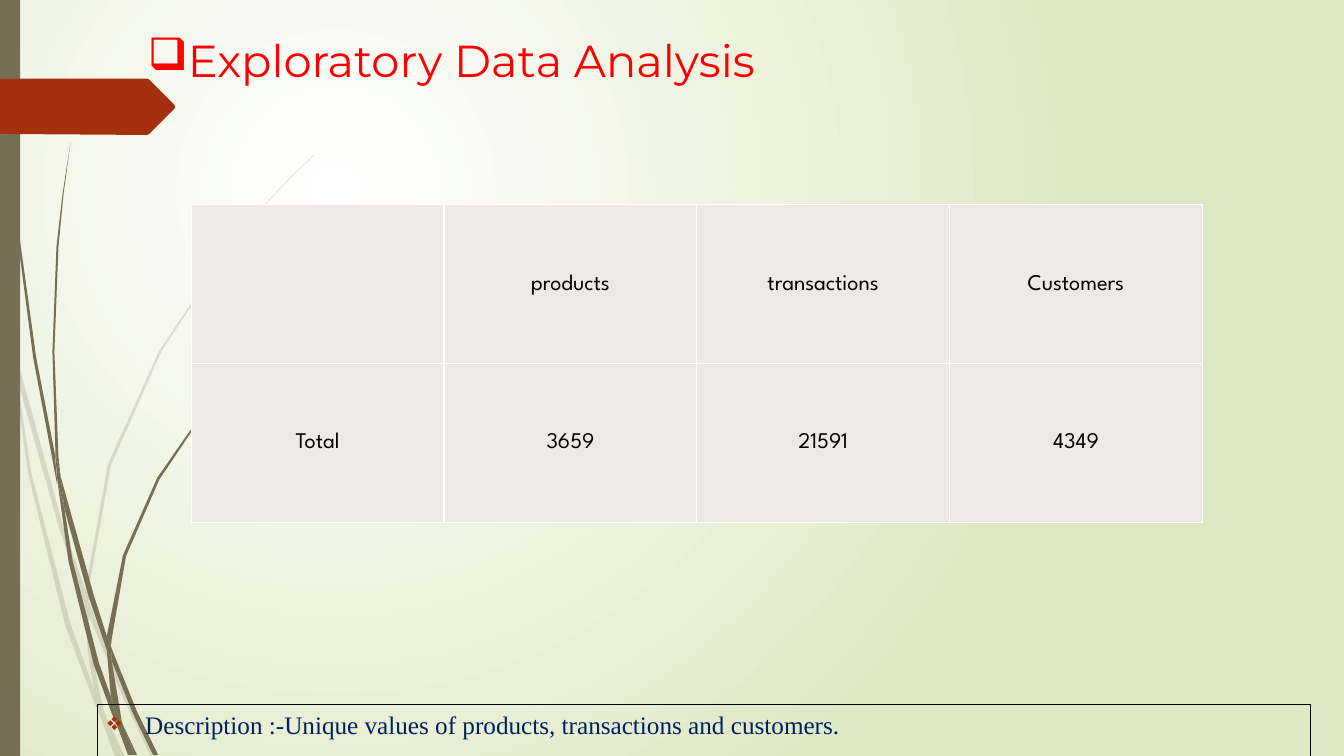
import lxml.etree
import pptx
import pptx.dml.color
import pptx.enum.shapes
import pptx.enum.text
import pptx.oxml.ns
import pptx.util

Cm, Pt = pptx.util.Cm, pptx.util.Pt
qn = pptx.oxml.ns.qn

OLIVE, RUST, WHITE = "766F54", "A53010", "FFFFFF"
GRID = Cm(0.0254)  # one unit of the outlines below

PALE_STALKS = [
    [(11, 350), (9, 322), (0, 282), (0, 299), (10, 344)],
    [(58, 522), (84, 599), (85, 586), (62, 520), (14, 345), (17, 376)],
    [(92, 607), (88, 596), (88, 610), (123, 694), (150, 751), (155, 751), (127, 692)],
    [(119, 751), (124, 751), (105, 711)],
    [(93, 683), (70, 619), (31, 469), (17, 376), (11, 350), (28, 470), (65, 621),
     (92, 693), (101, 714), (99, 707)],
    [(84, 599), (87, 646), (93, 683), (96, 692), (105, 711), (103, 706), (91, 646),
     (88, 610), (88, 608)],
    [(88, 584), (110, 462), (160, 349), (229, 245), (268, 198), (290, 175), (312, 154),
     (312, 153), (289, 175), (268, 197), (228, 244), (158, 348), (107, 461), (85, 584),
     (85, 586), (88, 596)],
    [(101, 714), (114, 751), (119, 751)],
    [(88, 608), (88, 610), (88, 596), (85, 586), (84, 599)],
    [(96, 692), (93, 683), (99, 707), (101, 714), (119, 751), (105, 711)],
]
DARK_STALKS = [
    [(7, 110), (17, 233), (33, 355), (56, 477), (57, 481), (55, 457), (55, 453),
     (36, 355), (19, 232), (8, 109), (5, 48), (4, 0), (3, 0), (4, 48)],
    [(88, 592), (106, 645), (106, 633), (106, 631), (93, 590), (60, 472), (64, 505)],
    [(113, 649), (110, 641), (111, 656), (132, 708), (152, 749), (157, 749), (136, 706)],
    [(110, 691), (98, 657), (72, 556), (64, 505), (57, 477), (68, 557), (93, 659),
     (111, 708), (117, 722), (116, 717)],
    [(60, 472), (58, 453), (54, 349), (58, 245), (63, 193), (70, 141), (62, 193),
     (56, 245), (52, 349), (55, 449)],
    [(133, 749), (136, 749), (122, 719)],
    [(57, 477), (64, 505), (60, 472), (55, 449), (55, 453)],
    [(111, 633), (125, 552), (158, 476), (205, 406), (231, 374), (245, 359), (261, 344),
     (260, 344), (245, 358), (231, 373), (204, 405), (156, 474), (122, 551), (106, 631),
     (110, 641)],
    [(117, 722), (127, 749), (131, 749)],
    [(106, 645), (110, 691), (116, 706), (122, 719), (121, 716), (111, 656), (109, 651)],
    [(106, 645), (109, 651), (111, 656), (110, 641), (106, 631), (106, 633)],
    [(116, 706), (110, 691), (116, 717), (117, 722), (130, 749), (133, 749), (122, 719)],
]
ARROW = [(0, 0), (146, 0), (148, 1), (173, 26), (174, 28), (173, 30), (148, 55),
         (146, 56), (0, 55)]

TOTALS = [["", "products", "transactions", "Customers"],
          ["Total", "3659", "21591", "4349"]]


def rgb(color):
    return pptx.dml.color.RGBColor.from_string(color)


def add_node(parent, tag, **attrs):
    return lxml.etree.SubElement(parent, qn(tag), attrs)


def style_run(p, font, size, color):
    for r in p.runs:
        r.font.name, r.font.size = font, Pt(size)
        r.font.color.rgb = rgb(color)


def paint(sp, color):
    """Fill a shape flat, with no outline and no shadow."""
    sp.shadow.inherit = False
    sp.fill.solid()
    sp.fill.fore_color.rgb = rgb(color)
    sp.line.fill.background()


def add_bullet(p, char, color):
    """Hang the paragraph behind a bullet."""
    pPr = p._p.get_or_add_pPr()
    pPr.set("marL", str(Cm(0.95)))
    pPr.set("indent", str(-Cm(0.95)))
    add_node(add_node(pPr, "a:buClr"), "a:srgbClr", val=color)
    add_node(pPr, "a:buChar", char=char)


def add_background(s):
    """Radial gradient centred in the upper left quarter."""
    fill = s.background.fill
    fill.gradient()
    for stop, position, color in zip(fill.gradient_stops, (0, 1), (WHITE, "DFE8C4")):
        stop.position = position
        stop.color.rgb = rgb(color)
    grad = s.element.find(".//" + qn("a:gradFill"))
    grad.remove(grad.find(qn("a:lin")))
    circle = lxml.etree.Element(qn("a:path"), {"path": "circle"})
    grad.find(qn("a:gsLst")).addnext(circle)
    add_node(circle, "a:fillToRect", l="50000", t="50000", r="100000", b="100000")


def add_outline(shapes, points, left, top, color):
    builder = shapes.build_freeform(*points[0], scale=GRID)
    builder.add_line_segments(points[1:], close=True)
    sp = builder.convert_to_shape(left, top)
    paint(sp, color)
    return sp


def add_stalks(s, outlines, left, top, opacity):
    shapes = s.shapes.add_group_shape().shapes
    for points in outlines:
        sp = add_outline(shapes, points, left, top, OLIVE)
        if opacity < 100:
            color = sp._element.spPr.find(qn("a:solidFill"))[0]
            add_node(color, "a:alpha", val=str(opacity * 1000))


def add_side_decoration(s, left, top, height):
    add_stalks(s, PALE_STALKS, left, top, 20)
    add_stalks(s, DARK_STALKS, left, top, 100)
    bar = s.shapes.add_shape(pptx.enum.shapes.MSO_SHAPE.RECTANGLE, left, top, Cm(0.51), height)
    paint(bar, OLIVE)
    add_outline(s.shapes, ARROW, left, top + Cm(1.98), RUST)


def add_title(s, left, top, width, height):
    tf = s.shapes.add_textbox(left, top, width, height).text_frame
    tf.word_wrap = True
    tf.text = "Exploratory Data Analysis"
    p = tf.paragraphs[0]
    add_bullet(p, "❑", "FF0000")
    style_run(p, "Montserrat", 32, "FF0000")


def add_description(s, left, top, width, height):
    sp = s.shapes.add_shape(pptx.enum.shapes.MSO_SHAPE.RECTANGLE, left, top, width, height)
    sp.shadow.inherit = False
    sp.fill.background()
    sp.line.color.rgb = rgb("000000")
    sp.line.width = Pt(0.75)
    tf = sp.text_frame
    tf.word_wrap = True
    tf.vertical_anchor = pptx.enum.text.MSO_ANCHOR.TOP
    tf.text = "Description :-Unique values of products, transactions and customers."
    p = tf.paragraphs[0]
    p.alignment = pptx.enum.text.PP_ALIGN.LEFT
    add_bullet(p, "❖", RUST)
    style_run(p, "Times New Roman", 18, "002060")


def format_cell(cell):
    tcPr = cell._tc.get_or_add_tcPr()
    for side in ("a:lnL", "a:lnR", "a:lnT", "a:lnB"):
        line = add_node(tcPr, side, w=str(Pt(1)))
        add_node(add_node(line, "a:solidFill"), "a:srgbClr", val=WHITE)
    cell.fill.solid()
    cell.fill.fore_color.rgb = rgb("F0E8E7")
    cell.vertical_anchor = pptx.enum.text.MSO_ANCHOR.MIDDLE
    cell.margin_left = cell.margin_right = cell.margin_top = Cm(0.03)
    cell.margin_bottom = 0
    p = cell.text_frame.paragraphs[0]
    p.alignment = pptx.enum.text.PP_ALIGN.CENTER
    style_run(p, "League Spartan", 16, "000000")


def add_totals_table(s, left, top, width, height):
    table = s.shapes.add_table(len(TOTALS), len(TOTALS[0]), left, top, width, height).table
    table.first_row = table.horz_banding = False
    for row, values in enumerate(TOTALS):
        for column, value in enumerate(values):
            cell = table.cell(row, column)
            cell.text = value
            format_cell(cell)


def main():
    prs = pptx.Presentation()
    prs.slide_width, prs.slide_height = Cm(33.87), Cm(19.05)
    s = prs.slides.add_slide(prs.slide_layouts[6])
    add_background(s)
    add_side_decoration(s, 0, 0, prs.slide_height)
    add_title(s, Cm(3.48), Cm(0.71), Cm(30.38), Cm(14.4))
    add_description(s, Cm(2.46), Cm(17.75), Cm(30.56), Cm(1.35))
    add_totals_table(s, Cm(4.82), Cm(5.16), Cm(25.48), Cm(8))
    prs.save("out.pptx")


if __name__ == "__main__":
    main()
